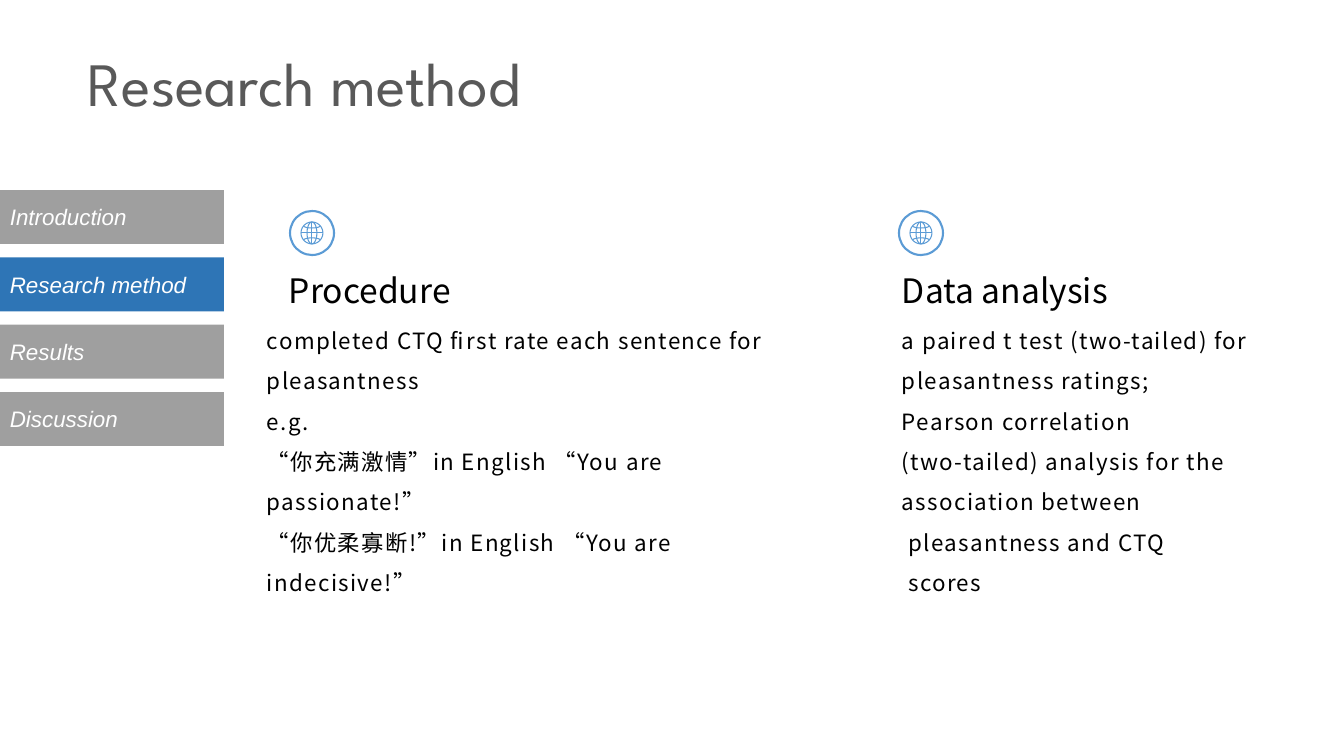
import math
import pptx
import pptx.dml.color
import pptx.enum.shapes
import pptx.enum.text
import pptx.oxml.ns
import pptx.util
from lxml import etree

# Content
TITLE = "Research method"
TABS = ["Introduction", "Research method", "Results", "Discussion"]
ACTIVE_TAB = "Research method"
COLUMNS = [
    {
        "heading": "Procedure", "heading_box": (279, 265, 223, 50),
        "icon_left": 290, "body_box": (257, 309, 573, 209),
        "body": [
            "completed CTQ first rate each sentence for pleasantness",
            "e.g.",
            "“你充满激情”in English “You are passionate!” ",
            "“你优柔寡断!”in English “You are indecisive!”",
        ],
    },
    {
        "heading": "Data analysis", "heading_box": (892, 265, 266, 50),
        "icon_left": 899, "body_box": (892, 309, 411, 290),
        "body": [
            "a paired t test (two-tailed) for pleasantness ratings; ",
            "Pearson correlation ",
            "(two-tailed) analysis for the association between",
            " pleasantness and CTQ",
            " scores",
        ],
    },
]

COLORS = {"tab": "404040", "active": "2E75B6", "white": "FFFFFF",
          "title": "595959", "text": "000000", "icon": "5B9BD5"}
TITLE_FONT, TAB_FONT, BODY_FONT = "League Spartan", "Arial", "Noto Sans CJK SC"

# Layout in pixels
PIXEL = 914400 / 100.8
SLIDE_SIZE = (1344, 756)
TITLE_BOX = (78, 48, 1159, 81)
TAB_TOP, LAST_TAB_TOP, TAB_WIDTH, TAB_HEIGHT = 190, 392, 224, 54
ICON_TOP, ICON_SIZE, GLOBE_RADIUS = 211, 44, 11


def emu(pixels):
    return pptx.util.Emu(round(pixels * PIXEL))


def rgb(name):
    return pptx.dml.color.RGBColor.from_string(COLORS[name])


def write(shape, texts, size, font, color, italic=False, spacing=None,
          line_spacing=None, align=None):
    frame = shape.text_frame
    frame.word_wrap = True
    for index, text in enumerate(texts):
        paragraph = frame.paragraphs[0] if index == 0 else frame.add_paragraph()
        paragraph.alignment = align
        paragraph.line_spacing = line_spacing
        run = paragraph.add_run()
        run.text = text
        run.font.size = pptx.util.Pt(size)
        run.font.name = font
        run.font.italic = italic
        run.font.color.rgb = rgb(color)
        properties = run.font._element
        east_asian = etree.SubElement(properties, pptx.oxml.ns.qn("a:ea"))
        east_asian.set("typeface", font)
        if spacing:
            properties.set("spc", str(spacing * 100))


def add_text(slide, box, texts, *style, **options):
    write(slide.shapes.add_textbox(*map(emu, box)), texts, *style, **options)


def add_shape(slide, kind, box, fill):
    shape = slide.shapes.add_shape(kind, *map(emu, box))
    shape.shadow.inherit = False
    shape.fill.solid()
    shape.fill.fore_color.rgb = rgb(fill)
    shape.line.fill.background()
    return shape


def arc(radius_x, radius_y, start, end, offset_y=0):
    angles = [math.radians(start + (end - start) * step / 24) for step in range(25)]
    return [(radius_x * math.cos(angle), offset_y + radius_y * math.sin(angle))
            for angle in angles]


def add_globe(slide, center_x, center_y):
    radius = GLOBE_RADIUS
    strokes = [
        arc(radius, radius, 0, 360),
        arc(radius * 0.45, radius, 0, 360),
        [(0, -radius), (0, radius)],
        [(-radius, 0), (radius, 0)],
        arc(radius * 0.75, radius * 0.2, 0, 180, -radius * 0.65),
        arc(radius * 0.75, radius * 0.2, 180, 360, radius * 0.65),
    ]
    placed = [[(emu(center_x + x), emu(center_y + y)) for x, y in stroke]
              for stroke in strokes]
    builder = slide.shapes.build_freeform(*placed[0][0])
    for index, stroke in enumerate(placed):
        if index:
            builder.move_to(*stroke[0])
        builder.add_line_segments(stroke[1:], close=False)
    globe = builder.convert_to_shape()
    globe.shadow.inherit = False
    globe.fill.background()
    globe.line.color.rgb = rgb("icon")
    globe.line.width = pptx.util.Pt(0.75)


presentation = pptx.Presentation()
presentation.slide_width, presentation.slide_height = map(emu, SLIDE_SIZE)
slide = presentation.slides.add_slide(presentation.slide_layouts[6])
shape_kinds = pptx.enum.shapes.MSO_SHAPE
alignments = pptx.enum.text.PP_ALIGN

# Navigation tabs
tab_pitch = (LAST_TAB_TOP - TAB_TOP) / (len(TABS) - 1)
for index, label in enumerate(TABS):
    active = label == ACTIVE_TAB
    box = (0, TAB_TOP + index * tab_pitch, TAB_WIDTH, TAB_HEIGHT)
    tab = add_shape(slide, shape_kinds.RECTANGLE, box, "active" if active else "tab")
    if not active:
        color = tab.fill._xPr.find(".//" + pptx.oxml.ns.qn("a:srgbClr"))
        etree.SubElement(color, pptx.oxml.ns.qn("a:alpha")).set("val", "50000")
    tab.text_frame.vertical_anchor = pptx.enum.text.MSO_ANCHOR.MIDDLE
    write(tab, [label], 16, TAB_FONT, "white", italic=True, align=alignments.LEFT)

# Title
add_text(slide, TITLE_BOX, [TITLE], 44, TITLE_FONT, "title", line_spacing=0.9)

# Columns with globe icon, heading and body
for column in COLUMNS:
    icon_box = (column["icon_left"], ICON_TOP, ICON_SIZE, ICON_SIZE)
    ring = add_shape(slide, shape_kinds.OVAL, icon_box, "white")
    ring.line.color.rgb = rgb("icon")
    ring.line.width = pptx.util.Pt(1.5)
    add_globe(slide, column["icon_left"] + ICON_SIZE / 2, ICON_TOP + ICON_SIZE / 2)
    add_text(slide, column["heading_box"], [column["heading"]], 24, BODY_FONT,
             "text", align=alignments.JUSTIFY)
    add_text(slide, column["body_box"], column["body"], 16, BODY_FONT, "text",
             spacing=1, line_spacing=1.5)

presentation.save("out.pptx")
